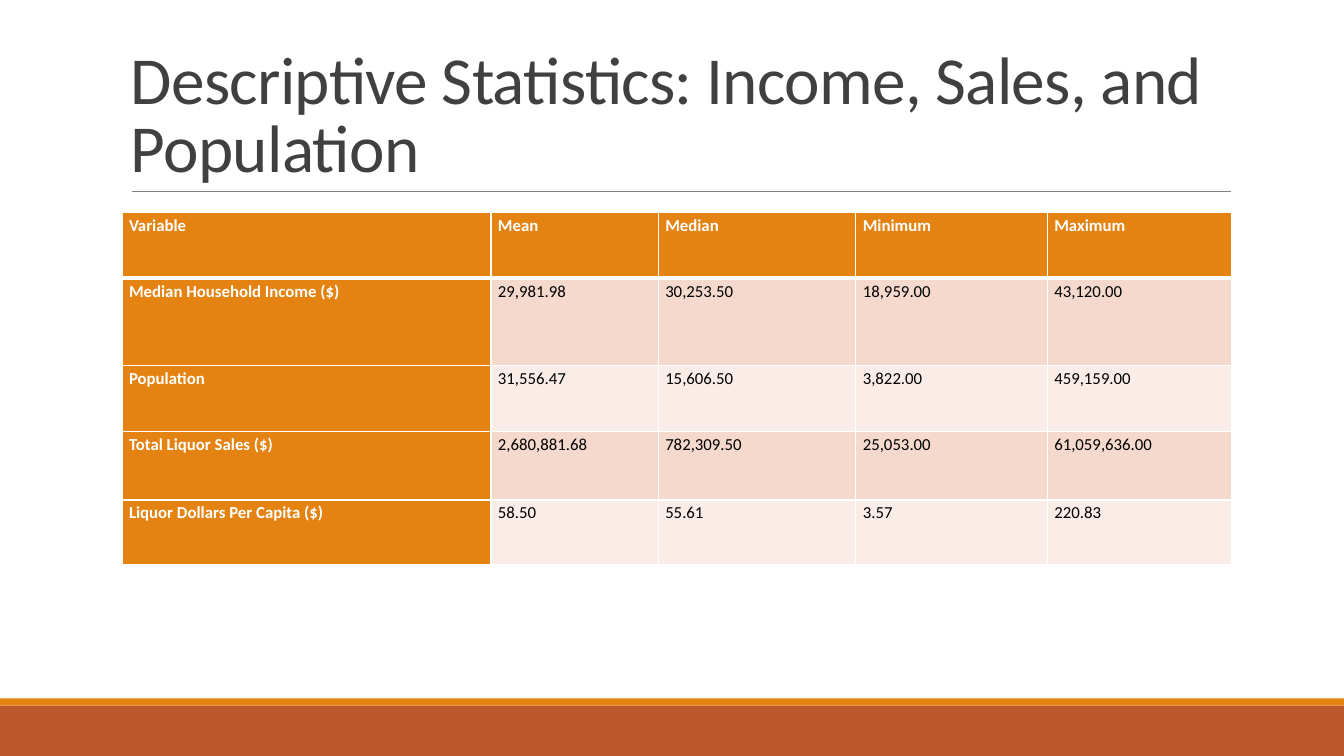
import lxml.etree
import pptx
import pptx.dml.color
import pptx.enum.shapes
import pptx.enum.text
import pptx.oxml.ns
import pptx.util

RGBColor = pptx.dml.color.RGBColor
ORANGE = RGBColor(0xE4, 0x83, 0x12)
RUST = RGBColor(0xBD, 0x58, 0x2C)
BANDS = (RGBColor(0xF5, 0xD9, 0xCC), RGBColor(0xFA, 0xED, 0xE7))
CHARCOAL = RGBColor(0x40, 0x40, 0x40)
GRAY = RGBColor(0x80, 0x80, 0x80)
WHITE = RGBColor(0xFF, 0xFF, 0xFF)
BLACK = RGBColor(0x00, 0x00, 0x00)

COLUMN_WIDTHS = (43.92, 19.92, 23.52, 22.8, 21.96)
ROW_HEIGHTS = (7.8, 10.44, 7.8, 8.16, 7.68)
STATISTICS = (
    ("Variable", "Mean", "Median", "Minimum", "Maximum"),
    ("Median Household Income ($)", "29,981.98", "30,253.50", "18,959.00", "43,120.00"),
    ("Population", "31,556.47", "15,606.50", "3,822.00", "459,159.00"),
    ("Total Liquor Sales ($)", "2,680,881.68", "782,309.50", "25,053.00", "61,059,636.00"),
    ("Liquor Dollars Per Capita ($)", "58.50", "55.61", "3.57", "220.83"),
)


class StatisticsSlide:
    """Draws styled elements on one slide, measured on a grid of 160 columns by 90 rows."""

    font_name = "Calibri"

    def __init__(self, presentation):
        self.column = presentation.slide_width / 160
        self.row = presentation.slide_height / 90
        self.shapes = presentation.slides.add_slide(presentation.slide_layouts[6]).shapes

    def place(self, left, top, width, height):
        return (round(left * self.column), round(top * self.row),
                round(width * self.column), round(height * self.row))

    def style(self, paragraph, size, color, bold, spacing):
        paragraph.font.name = self.font_name
        paragraph.font.size = pptx.util.Pt(size)
        paragraph.font.color.rgb = color
        paragraph.font.bold = bold
        paragraph.line_spacing = spacing

    def band(self, top, height, color):
        band = self.shapes.add_shape(pptx.enum.shapes.MSO_SHAPE.RECTANGLE,
                                     *self.place(0, top, 160, height))
        band.shadow.inherit = False
        band.fill.solid()
        band.fill.fore_color.rgb = color
        band.line.fill.background()

    def rule(self, left, right, top):
        rule = self.shapes.add_connector(pptx.enum.shapes.MSO_CONNECTOR.STRAIGHT,
                                         *self.place(left, top, right, top))
        rule.line.color.rgb = GRAY
        rule.line.width = pptx.util.Pt(0.5)
        lxml.etree.SubElement(rule._element.spPr, pptx.oxml.ns.qn("a:effectLst"))

    def title(self, text, *box):
        frame = self.shapes.add_textbox(*self.place(*box)).text_frame
        frame.word_wrap = True
        frame.vertical_anchor = pptx.enum.text.MSO_ANCHOR.BOTTOM
        heading = frame.paragraphs[0]
        heading.text = text
        self.style(heading, 48, CHARCOAL, False, 0.85)
        heading.runs[0]._r.get_or_add_rPr().set("spc", "-50")

    def border(self, cell, side, points):
        properties = cell._tc.get_or_add_tcPr()
        edge = lxml.etree.SubElement(properties, pptx.oxml.ns.qn(f"a:ln{side}"),
                                     w=str(pptx.util.Pt(points)))
        fill = lxml.etree.SubElement(edge, pptx.oxml.ns.qn("a:solidFill"))
        lxml.etree.SubElement(fill, pptx.oxml.ns.qn("a:srgbClr"), val=str(WHITE))

    def cell(self, cell, text, row, column):
        label = row == 0 or column == 0
        cell.margin_left = cell.margin_right = round(0.84 * self.column)
        cell.margin_top = cell.margin_bottom = 0
        thick_side = {0: "B", 1: "T"}.get(row)
        for side in "LRTB":
            self.border(cell, side, 3 if side == thick_side else 1)
        cell.fill.solid()
        cell.fill.fore_color.rgb = ORANGE if label else BANDS[(row - 1) % 2]
        entry = cell.text_frame.paragraphs[0]
        entry.text = text
        entry.space_after = pptx.util.Pt(8)
        self.style(entry, 12, WHITE if label else BLACK, label, 1.15)

    def table(self, left, top, widths, heights, records):
        box = self.place(left, top, sum(widths), sum(heights))
        table = self.shapes.add_table(len(heights), len(widths), *box).table
        for column, width in zip(table.columns, widths):
            column.width = round(width * self.column)
        for row, height in zip(table.rows, heights):
            row.height = round(height * self.row)
        for r, record in enumerate(records):
            for c, text in enumerate(record):
                self.cell(table.cell(r, c), text, r, c)


def main():
    presentation = pptx.Presentation()
    presentation.slide_width = pptx.util.Inches(13.33)
    presentation.slide_height = pptx.util.Inches(7.5)
    slide = StatisticsSlide(presentation)
    slide.band(84, 6, RUST)
    slide.band(83.16, 0.84, ORANGE)
    slide.rule(15.72, 146.52, 22.8)
    slide.title("Descriptive Statistics: Income, Sales, and Population", 14.4, 3.72, 132, 19.08)
    slide.table(14.52, 25.32, COLUMN_WIDTHS, ROW_HEIGHTS, STATISTICS)
    presentation.save("out.pptx")


if __name__ == "__main__":
    main()
